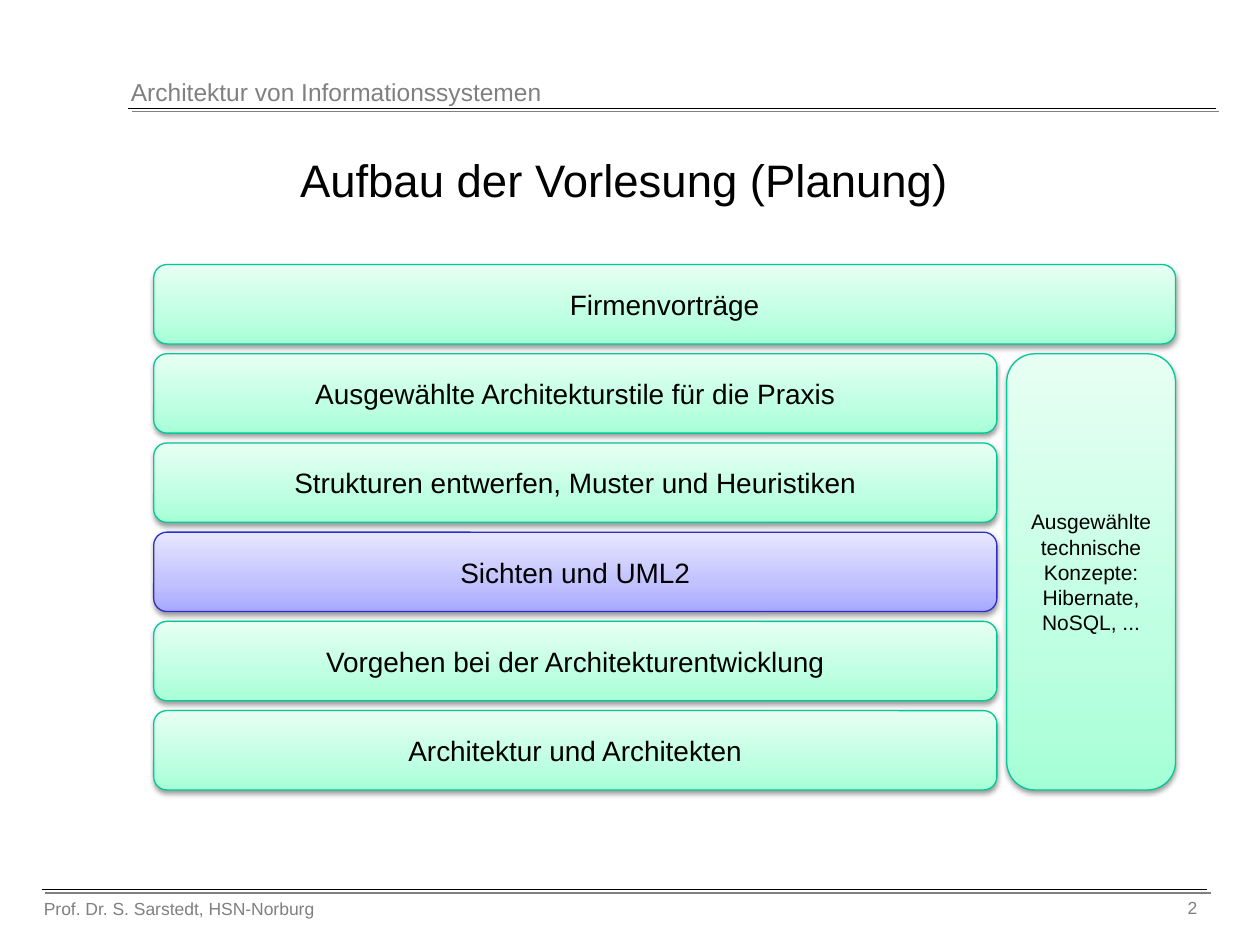
from copy import deepcopy
from dataclasses import dataclass

from lxml.etree import SubElement
from pptx import Presentation
from pptx.dml.color import RGBColor
from pptx.enum.shapes import MSO_CONNECTOR, MSO_SHAPE
from pptx.enum.text import MSO_ANCHOR, PP_ALIGN
from pptx.oxml.ns import qn
from pptx.util import Inches, Pt


@dataclass(frozen=True)
class Palette:
    """Border colour and gradient from bottom to top."""
    border: str
    gradient: tuple


@dataclass(frozen=True)
class Theme:
    """Colours, font and type sizes of the slide."""
    font: str = "Arial"
    ink: str = "000000"
    muted: str = "808080"
    green: Palette = Palette("00C896", ("A5FFD6", "BFFFE2", "E7FFF3"))
    blue: Palette = Palette("2E2ECB", ("A7A7FF", "C1C1FF", "E7E7FF"))
    stops: tuple = (0, 0.35, 1)
    line: float = 0.75
    title: int = 26
    topic: int = 16
    header: int = 14
    side: int = 12
    footer: int = 10


THEME = Theme()
LEFT, TOP, RIGHT, BOTTOM = 1.22, 2.1, 9.33, 6.27
ROW_HEIGHT = 0.63
SIDE_WIDTH = 1.34
LECTURE_TOPICS = (
    "Firmenvorträge",
    "Ausgewählte Architekturstile für die Praxis",
    "Strukturen entwerfen, Muster und Heuristiken",
    "Sichten und UML2",
    "Vorgehen bei der Architekturentwicklung",
    "Architektur und Architekten",
)
CURRENT_TOPIC = "Sichten und UML2"


def write_text(frame, text, *, size, color=THEME.ink,
               align=PP_ALIGN.CENTER, anchor=MSO_ANCHOR.MIDDLE):
    """Fill a text frame with one formatted paragraph."""
    frame.word_wrap = True
    frame.vertical_anchor = anchor
    paragraph = frame.paragraphs[0]
    paragraph.alignment = align
    run = paragraph.add_run()
    run.text = text
    run.font.name = THEME.font
    run.font.size = Pt(size)
    run.font.color.rgb = RGBColor.from_string(color)


def add_shadow(element, *, color, alpha, distance, angle, blur=0):
    """Append an outer shadow to the shape properties."""
    effects = SubElement(element.spPr, qn("a:effectLst"))
    shadow = SubElement(effects, qn("a:outerShdw"), blurRad=str(Pt(blur)),
                        dist=str(Pt(distance)), dir=str(angle * 60000),
                        rotWithShape="0")
    tint = SubElement(shadow, qn("a:srgbClr"), val=color)
    SubElement(tint, qn("a:alpha"), val=str(alpha * 1000))


def style_line(line, color):
    """Give an outline or rule its colour and width."""
    line.color.rgb = RGBColor.from_string(color)
    line.width = Pt(THEME.line)


def fill_gradient(block, colors):
    """Apply a three-colour gradient rising from the bottom."""
    block.fill.gradient()
    block.fill.gradient_angle = 90
    stop_list = block._element.spPr.find(".//" + qn("a:gsLst"))
    stop_list.append(deepcopy(stop_list[-1]))
    for stop, position, color in zip(block.fill.gradient_stops, THEME.stops, colors):
        stop.position = position
        stop.color.rgb = RGBColor.from_string(color)


def add_block(slide, text, left, top, width, height, *, palette=THEME.green,
              size=THEME.topic):
    """Add a rounded lecture block with gradient and shadow."""
    block = slide.shapes.add_shape(MSO_SHAPE.ROUNDED_RECTANGLE, Inches(left),
                                   Inches(top), Inches(width), Inches(height))
    fill_gradient(block, palette.gradient)
    style_line(block.line, palette.border)
    add_shadow(block._element, color=THEME.ink, alpha=38, blur=3.1,
               distance=1.6, angle=90)
    write_text(block.text_frame, text, size=size)


def add_rule(slide, left, right, y):
    """Add a horizontal rule with a grey offset shadow."""
    rule = slide.shapes.add_connector(MSO_CONNECTOR.STRAIGHT, Inches(left),
                                      Inches(y), Inches(right), Inches(y))
    style_line(rule.line, THEME.ink)
    add_shadow(rule._element, color=THEME.muted, alpha=100, distance=2.8, angle=45)


def add_label(slide, text, left, top, width, height, *, size, align=PP_ALIGN.LEFT):
    """Add a muted header or footer text."""
    label = slide.shapes.add_textbox(Inches(left), Inches(top),
                                     Inches(width), Inches(height))
    write_text(label.text_frame, text, size=size, color=THEME.muted,
               align=align, anchor=MSO_ANCHOR.TOP)


def add_title(slide, text):
    """Place and format the title placeholder."""
    title = slide.shapes.title
    title.left, title.top = Inches(0.33), Inches(1.17)
    title.width, title.height = Inches(9.25), Inches(0.5)
    write_text(title.text_frame, text, size=THEME.title)


def add_lecture_plan(slide):
    """Stack the lecture topics beside the technical concepts."""
    pitch = (BOTTOM - TOP - ROW_HEIGHT) / (len(LECTURE_TOPICS) - 1)
    gap = pitch - ROW_HEIGHT
    side_left = RIGHT - SIDE_WIDTH
    for row, topic in enumerate(LECTURE_TOPICS):
        right = RIGHT if row == 0 else side_left - gap
        palette = THEME.blue if topic == CURRENT_TOPIC else THEME.green
        add_block(slide, topic, LEFT, TOP + row * pitch, right - LEFT,
                  ROW_HEIGHT, palette=palette)
    side_top = TOP + pitch
    add_block(slide, "Ausgewählte technische Konzepte: Hibernate, NoSQL, ...",
              side_left, side_top, SIDE_WIDTH, BOTTOM - side_top, size=THEME.side)


def main():
    """Build and save the slide."""
    presentation = Presentation()
    presentation.slide_width, presentation.slide_height = Inches(10), Inches(7.5)
    slide = presentation.slides.add_slide(presentation.slide_layouts[5])
    add_rule(slide, 1.02, 9.65, 0.86)
    add_rule(slide, 0.33, 9.58, 7.06)
    add_label(slide, "Prof. Dr. S. Sarstedt, HSN-Norburg", 0.25, 7.08, 4.5, 0.27,
              size=THEME.footer)
    add_label(slide, "Architektur von Informationssystemen", 0.94, 0.56, 7.01, 0.34,
              size=THEME.header)
    add_label(slide, "2", 8.58, 7.07, 1.02, 0.31, size=THEME.footer,
              align=PP_ALIGN.RIGHT)
    add_title(slide, "Aufbau der Vorlesung (Planung)")
    add_lecture_plan(slide)
    presentation.save("out.pptx")


if __name__ == "__main__":
    main()
